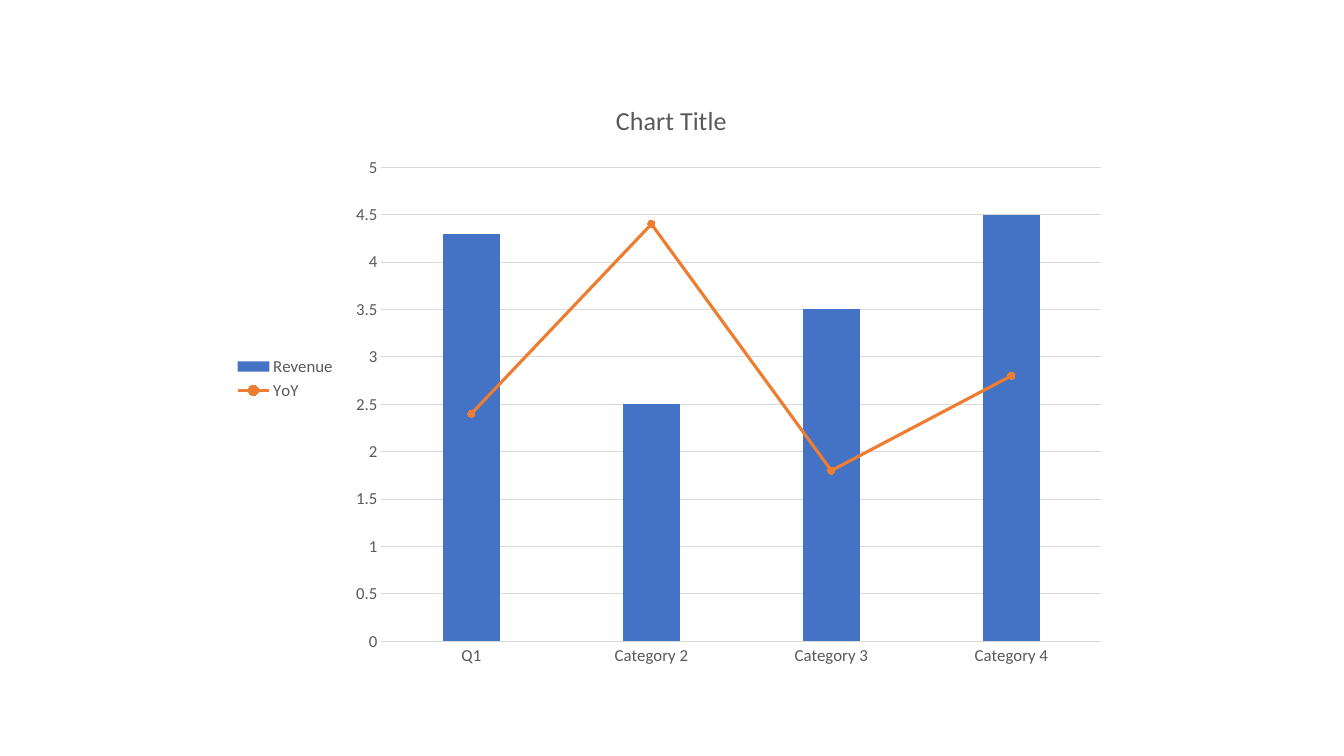
from copy import deepcopy
from dataclasses import dataclass

from pptx import Presentation
from pptx.chart.data import CategoryChartData
from pptx.dml.color import RGBColor
from pptx.enum.chart import XL_CHART_TYPE, XL_LEGEND_POSITION, XL_MARKER_STYLE, XL_TICK_MARK
from pptx.oxml import parse_xml
from pptx.oxml.ns import nsdecls, qn
from pptx.util import Pt

COLUMNS = XL_CHART_TYPE.COLUMN_CLUSTERED
LEGEND_LEFT = XL_LEGEND_POSITION.LEFT
CIRCLE = XL_MARKER_STYLE.CIRCLE
NO_TICK = XL_TICK_MARK.NONE
EMU_PER_PX = 9525
BLANK_LAYOUT = 6


@dataclass(frozen=True)
class Theme:
    font: str = "Calibri"
    text: str = "595959"
    grid: str = "D9D9D9"
    revenue: str = "4472C4"
    growth: str = "ED7D31"
    title_size: float = 18.6
    label_size: float = 12
    grid_width: float = 0.75
    growth_width: float = 2.25
    marker_size: int = 5


def px(length):
    return length * EMU_PER_PX


class SlideBuilder:
    def __init__(self, presentation, theme):
        self.theme = theme
        self.slide = presentation.slides.add_slide(presentation.slide_layouts[BLANK_LAYOUT])

    def style_font(self, font, size):
        font.name = self.theme.font
        font.size = Pt(size)
        font.bold = False
        font.color.rgb = RGBColor.from_string(self.theme.text)

    def style_fill(self, fill, color):
        fill.solid()
        fill.fore_color.rgb = RGBColor.from_string(color)

    def style_line(self, line, color, width):
        self.style_fill(line.fill, color)
        line.width = Pt(width)

    def style_axis(self, axis):
        axis.major_tick_mark = axis.minor_tick_mark = NO_TICK
        self.style_font(axis.tick_labels.font, self.theme.label_size)

    def move_last_series_to_lines(self, chart):
        bar_chart = chart.plots[0].series[0].format._element.getparent()
        line_chart = parse_xml(
            f'<c:lineChart {nsdecls("c")}><c:grouping val="standard"/>'
            '<c:varyColors val="0"/><c:marker val="1"/></c:lineChart>'
        )
        series = bar_chart.findall(qn("c:ser"))[-1]
        for invert in series.findall(qn("c:invertIfNegative")):
            series.remove(invert)
        line_chart.insert(2, series)
        for axis_id in bar_chart.findall(qn("c:axId")):
            line_chart.append(deepcopy(axis_id))
        bar_chart.addnext(line_chart)

    def add_combined_chart(self, left, top, width, height, title, categories, series):
        theme = self.theme
        data = CategoryChartData()
        data.categories = categories
        for name, values in series.items():
            data.add_series(name, values)
        frame = self.slide.shapes.add_chart(
            COLUMNS, px(left), px(top), px(width), px(height), data
        )
        chart = frame.chart
        self.style_font(chart.font, theme.label_size)

        chart.has_title = True
        chart.chart_title.text_frame.text = title
        self.style_font(chart.chart_title.text_frame.paragraphs[0].font, theme.title_size)

        chart.has_legend = True
        chart.legend.position = LEGEND_LEFT
        chart.legend.include_in_layout = False
        self.style_font(chart.legend.font, theme.label_size)

        self.style_axis(chart.category_axis)
        self.style_line(chart.category_axis.format.line, theme.grid, theme.grid_width)
        value_axis = chart.value_axis
        self.style_axis(value_axis)
        value_axis.format.line.fill.background()
        value_axis.minimum_scale, value_axis.maximum_scale, value_axis.major_unit = 0, 5, 0.5
        self.style_line(value_axis.major_gridlines.format.line, theme.grid, theme.grid_width)

        self.move_last_series_to_lines(chart)
        columns, lines = chart.plots
        columns.gap_width, columns.overlap = 219, -27
        columns.vary_by_categories = False
        self.style_fill(columns.series[0].format.fill, theme.revenue)

        growth = lines.series[0]
        growth.smooth = False
        self.style_line(growth.format.line, theme.growth, theme.growth_width)
        growth.marker.style = CIRCLE
        growth.marker.size = theme.marker_size
        self.style_fill(growth.marker.format.fill, theme.growth)
        self.style_line(growth.marker.format.line, theme.growth, theme.grid_width)


def main():
    presentation = Presentation()
    presentation.slide_width, presentation.slide_height = px(1280), px(720)
    builder = SlideBuilder(presentation, Theme())
    builder.add_combined_chart(
        213, 76, 853, 569,
        "Chart Title",
        ["Q1", "Category 2", "Category 3", "Category 4"],
        {"Revenue": [4.3, 2.5, 3.5, 4.5], "YoY": [2.4, 4.4, 1.8, 2.8]},
    )
    presentation.save("out.pptx")


if __name__ == "__main__":
    main()
